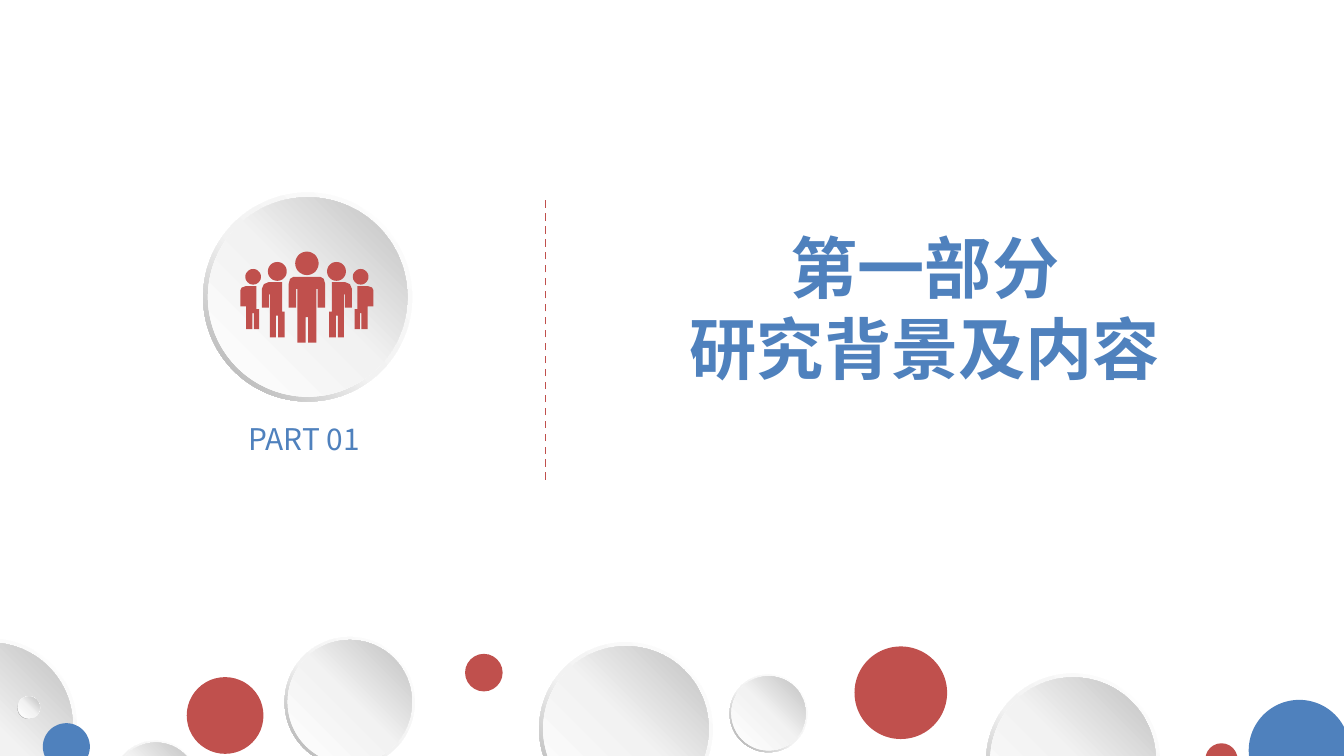
"""Build a section divider slide with a people emblem and a row of spheres."""
from copy import deepcopy
from math import cos, pi, sin

from lxml import etree
from pptx import Presentation
from pptx.dml.color import RGBColor
from pptx.enum.dml import MSO_LINE
from pptx.enum.shapes import MSO_CONNECTOR, MSO_SHAPE
from pptx.enum.text import MSO_ANCHOR, PP_ALIGN
from pptx.oxml.ns import qn
from pptx.util import Cm, Pt

DONUT, ELLIPSE = MSO_SHAPE.DONUT, MSO_SHAPE.OVAL
STRAIGHT, DASH = MSO_CONNECTOR.STRAIGHT, MSO_LINE.DASH
CENTER, LEFT = PP_ALIGN.CENTER, PP_ALIGN.LEFT
MIDDLE, TOP = MSO_ANCHOR.MIDDLE, MSO_ANCHOR.TOP

TITLE_ONLY = 5
FONT = "Noto Sans CJK SC"
COLORS = {
    "blue": "4F81BD", "red": "C0504D", "white": "FFFFFF",
    "pale": "F2F2F2", "silver": "BFBFBF", "steel": "A6A6A6",
}
RIM_GRADIENT = ([(0, "white"), (0.55, "pale"), (1, "steel")], 225)
FACE_GRADIENT = ([(0, "white"), (0.51, "pale"), (1, "silver")], 45)
RIM_RATIO = 0.049
FACE_INSET = 0.023

EMBLEM = (3.84, 3.64, 3.95)
SPHERES = [
    (10.19, 12.14, 3.28, None), (16.15, 12.22, 1.75, "red"),
    (5.38, 12.04, 2.46, None), (23.6, 13.23, 1.91, "blue"),
    (2.13, 14, 1.63, None), (8.79, 12.36, 0.71, "red"),
    (13.79, 12.75, 1.47, None), (18.64, 12.73, 3.28, None),
    (22.78, 14.05, 0.61, "red"), (-1.83, 12.07, 3.28, None),
    (3.53, 12.8, 1.45, "red"), (0.81, 13.67, 0.89, "blue"),
    (0.33, 13.16, 0.43, None),
]

LEADER_HALF = [
    (0, 19), (10, 19), (12.5, 20.5), (13.5, 24), (13.5, 42), (8, 42),
    (8, 28), (7, 28), (7, 68), (1, 68), (1, 49), (0, 49),
]
COLLEAGUE = [
    (16.5, 45), (16.5, 64), (21.5, 64), (21.5, 48), (23, 48), (23, 64),
    (27.5, 64), (27.5, 32), (28.3, 32), (28.3, 42), (33.5, 42),
    (33.5, 28), (32, 24.5), (28.5, 23), (18.5, 23), (18.5, 45),
]
OUTER_COLLEAGUE = [
    (35.5, 43), (35.5, 58), (39.5, 58), (39.5, 46), (40.5, 46), (40.5, 58),
    (45.2, 58), (45.2, 41), (49.5, 41), (49.5, 29), (48.5, 27),
    (45.5, 26), (37.5, 26), (37.5, 43),
]
UNITS_PER_POINT = 10


def rgb(name):
    """Return the named colour."""
    return RGBColor.from_string(COLORS[name])


def fill_gradient(fill, gradient):
    """Apply a three-stop linear gradient."""
    stops, angle = gradient
    fill.gradient()
    fill.gradient_angle = angle
    first = fill.gradient_stops[0]._gs
    first.addnext(deepcopy(first))
    for stop, (position, name) in zip(fill.gradient_stops, stops):
        stop.color.rgb = rgb(name)
        stop.position = position


def paint(shape, color, gradient=None):
    """Fill a shape without outline or shadow."""
    shape.shadow.inherit = False
    shape.line.fill.background()
    if color:
        shape.fill.solid()
        shape.fill.fore_color.rgb = rgb(color)
    else:
        fill_gradient(shape.fill, gradient)


def add_sphere(slide, left, top, size, color=None):
    """Add a grouped rim and face, and return the group."""
    group = slide.shapes.add_group_shape()
    inset = size * FACE_INSET
    rim = group.shapes.add_shape(DONUT, Cm(left), Cm(top), Cm(size), Cm(size))
    rim.adjustments[0] = RIM_RATIO
    paint(rim, color, RIM_GRADIENT)
    face_size = Cm(size - 2 * inset)
    face = group.shapes.add_shape(
        ELLIPSE, Cm(left + inset), Cm(top + inset), face_size, face_size)
    paint(face, color, FACE_GRADIENT)
    return group


def head(x, y, radius, steps=36):
    """Return the outline points of a round head."""
    angles = [2 * pi * step / steps for step in range(steps)]
    return [(x + radius * cos(a), y + radius * sin(a)) for a in angles]


def mirror(outline):
    """Reflect an outline across the vertical axis."""
    return [(-x, y) for x, y in reversed(outline)]


def add_people(group):
    """Draw five people as one outline, symmetric about the leader."""
    right_side = [COLLEAGUE, head(22, 15, 7),
                  OUTER_COLLEAGUE, head(40, 19, 5.8)]
    outlines = [head(0, 9, 8.7), LEADER_HALF + mirror(LEADER_HALF)]
    outlines += right_side + [mirror(part) for part in right_side]
    scaled = [[(x * UNITS_PER_POINT, y * UNITS_PER_POINT) for x, y in part]
              for part in outlines]
    builder = group.shapes.build_freeform(*scaled[0][0], scale=Cm(2.54) / 1000)
    builder.add_line_segments(scaled[0][1:])
    for part in scaled[1:]:
        builder.move_to(*part[0])
        builder.add_line_segments(part[1:])
    paint(builder.convert_to_shape(Cm(5.8), Cm(4.75)), "red")


def write(frame, lines, size, bold, align, anchor):
    """Set the lines of a text frame in blue without margins."""
    frame.margin_left = frame.margin_right = 0
    frame.margin_top = frame.margin_bottom = 0
    frame.vertical_anchor = anchor
    frame.text = "\n".join(lines)
    for paragraph in frame.paragraphs:
        paragraph.alignment = align
        for run in paragraph.runs:
            run.font.size = Pt(size)
            run.font.bold = bold
            run.font.color.rgb = rgb("blue")
            run.font.name = FONT
            etree.SubElement(run.font._element, qn("a:ea"), typeface=FONT)


def add_divider(slide):
    """Add the dashed vertical line."""
    divider = slide.shapes.add_connector(
        STRAIGHT, Cm(10.31), Cm(9.07), Cm(10.31), Cm(3.73))
    divider.line.color.rgb = rgb("red")
    divider.line.width = Pt(1)
    divider.line.dash_style = DASH
    etree.SubElement(divider._element.spPr, qn("a:effectLst"))


def main():
    """Build and save the slide."""
    deck = Presentation()
    deck.slide_width, deck.slide_height = Cm(25.4), Cm(14.29)
    slide = deck.slides.add_slide(deck.slide_layouts[TITLE_ONLY])

    title = slide.shapes.title
    title.left, title.top = Cm(12.78), Cm(4.14)
    title.width, title.height = Cm(9.4), Cm(3.33)
    write(title.text_frame, ["第一部分", "研究背景及内容"], 36, True, CENTER, MIDDLE)
    title.text_frame.word_wrap = False

    add_divider(slide)
    part_label = slide.shapes.add_textbox(Cm(4.7), Cm(7.95), Cm(2.51), Cm(0.69))
    write(part_label.text_frame, ["PART 01"], 16, False, LEFT, TOP)
    part_label.text_frame.word_wrap = True

    add_people(add_sphere(slide, *EMBLEM))
    for sphere in SPHERES:
        add_sphere(slide, *sphere)
    deck.save("out.pptx")


if __name__ == "__main__":
    main()
